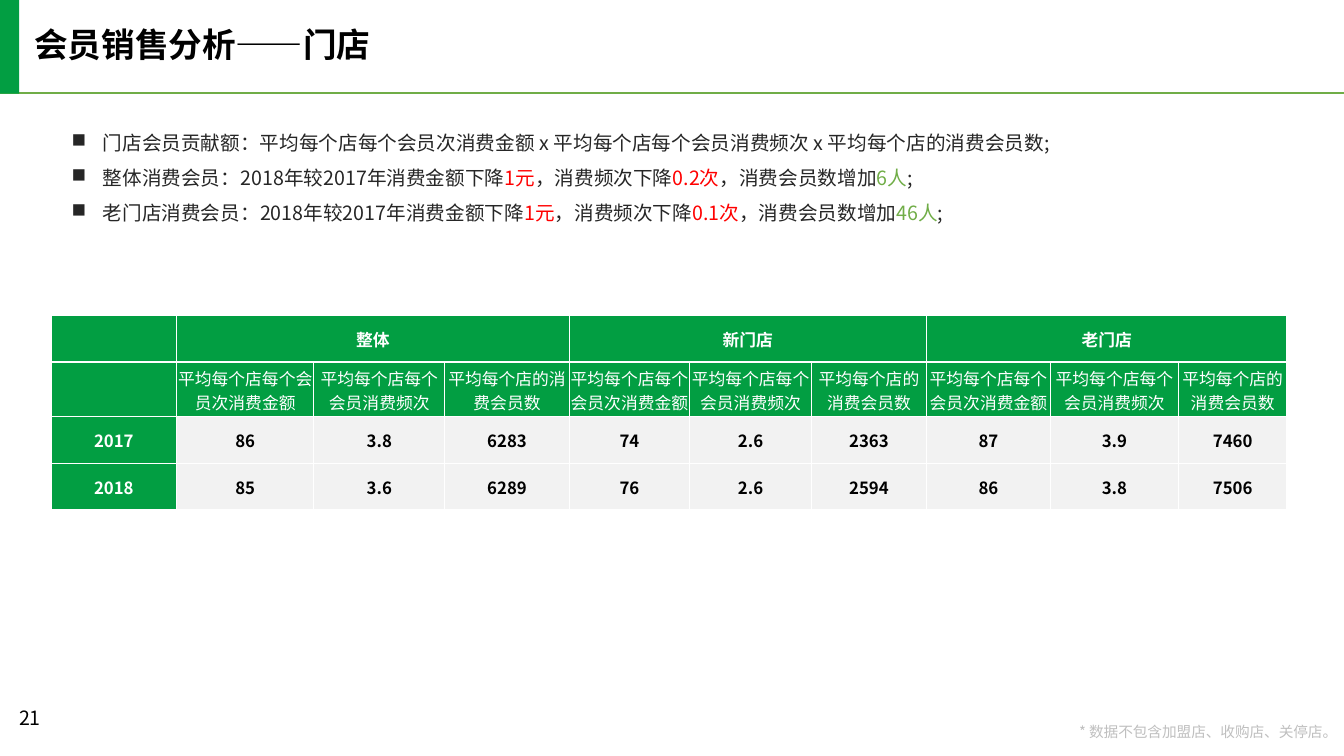
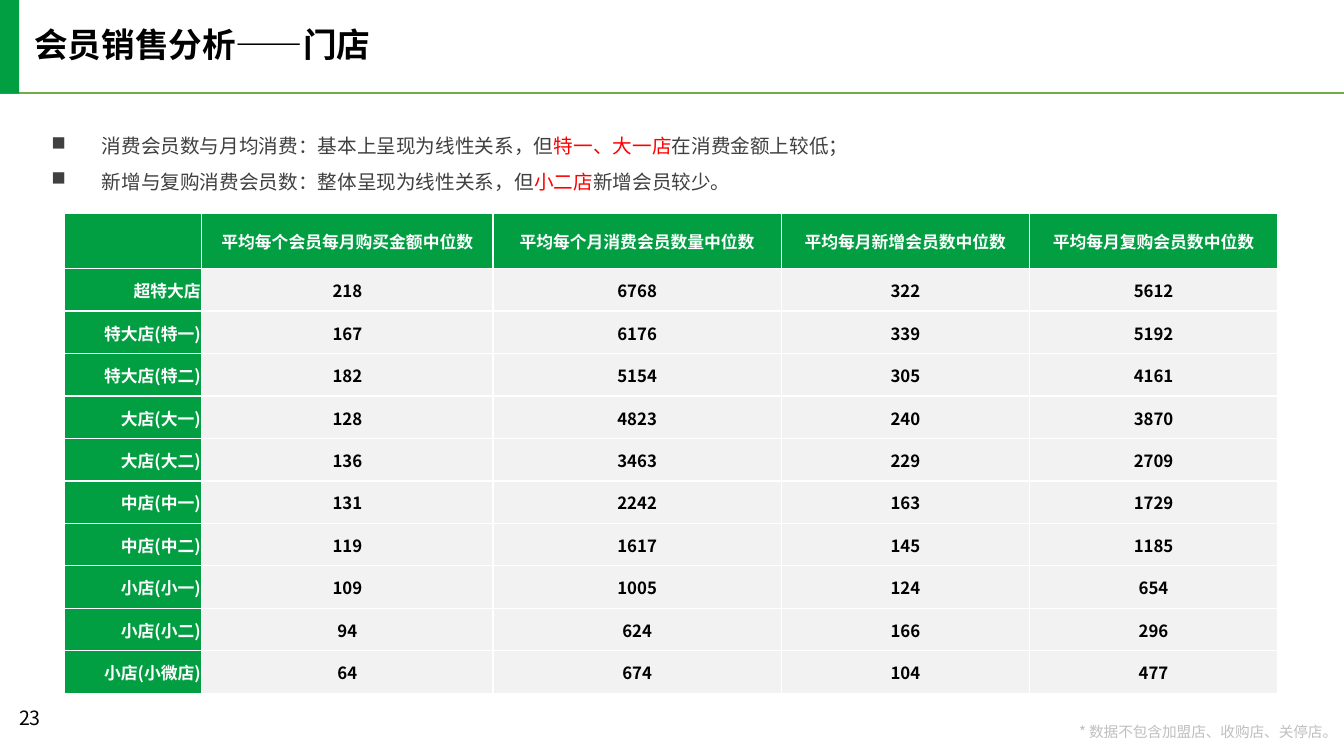
from lxml import etree
from pptx import Presentation
from pptx.dml.color import RGBColor
from pptx.enum.shapes import MSO_CONNECTOR, MSO_SHAPE
from pptx.enum.text import MSO_ANCHOR, PP_ALIGN
from pptx.oxml.ns import qn
from pptx.util import Pt

LEFT, CENTER, RIGHT = PP_ALIGN.LEFT, PP_ALIGN.CENTER, PP_ALIGN.RIGHT
TOP, MIDDLE = MSO_ANCHOR.TOP, MSO_ANCHOR.MIDDLE
STRAIGHT = MSO_CONNECTOR.STRAIGHT
RECTANGLE = MSO_SHAPE.RECTANGLE

FONT = "Noto Sans CJK SC"
BRAND_GREEN = RGBColor(0x02, 0x9E, 0x42)
LIGHT_GREEN = RGBColor(0x70, 0xAD, 0x47)
RED = RGBColor(0xFF, 0x00, 0x00)
BLACK = RGBColor(0x00, 0x00, 0x00)
WHITE = RGBColor(0xFF, 0xFF, 0xFF)
INK = RGBColor(0x26, 0x26, 0x26)
GREY_INK = RGBColor(0x40, 0x40, 0x40)
NOTE_GREY = RGBColor(0xBF, 0xBF, 0xBF)
CELL_GREY = RGBColor(0xF2, 0xF2, 0xF2)

SLIDE_WIDTH, SLIDE_HEIGHT = 960, 540
HEADER_HEIGHT = 66.24

AMOUNT, FREQUENCY, MEMBERS = (
    "平均每个店每个会员次消费金额", "平均每个店每个会员消费频次", "平均每个店的消费会员数")

PAGES = [
    {
        "number": "21",
        "bullet_box": (51.12, 84.96, 810, 96.48),
        "bullet_indent": 22.32,
        "bullet_anchor": TOP,
        "bullets": [
            [("门店会员贡献额：平均每个店每个会员次消费金额 x 平均每个店每个会员消费频次 x 平均每个店的消费会员数;", INK)],
            [("整体消费会员：2018年较2017年消费金额下降", INK), ("1元", RED),
             ("，消费频次下降", INK), ("0.2次", RED),
             ("，消费会员数增加", INK), ("6人", LIGHT_GREEN), (";", INK)],
            [("老门店消费会员：2018年较2017年消费金额下降", INK), ("1元", RED),
             ("，消费频次下降", INK), ("0.1次", RED),
             ("，消费会员数增加", INK), ("46人", LIGHT_GREEN), (";", INK)],
        ],
        "table_origin": (36.36, 225.5),
        "widths": [89.9, 97.9, 93.6, 88.9, 86, 87.1, 82.1, 88.6, 91.4, 77.6],
        "heights": [33.1, 39.2, 33.1, 33.1],
        "header_rows": 2,
        "merge_starts": [1, 4, 7],
        "label_align": CENTER,
        "rows": [
            ["", "整体", "", "", "新门店", "", "", "老门店", "", ""],
            [""] + [AMOUNT, FREQUENCY, MEMBERS] * 3,
            ["2017", "86", "3.8", "6283", "74", "2.6", "2363", "87", "3.9", "7460"],
            ["2018", "85", "3.6", "6289", "76", "2.6", "2594", "86", "3.8", "7506"],
        ],
    },
    {
        "number": "23",
        "bullet_box": (36.72, 87.12, 615.6, 51.12),
        "bullet_indent": 36,
        "bullet_anchor": MIDDLE,
        "bullets": [
            [("消费会员数与月均消费：基本上呈现为线性关系，但", GREY_INK),
             ("特一、大一店", RED), ("在消费金额上较低；", GREY_INK)],
            [("新增与复购消费会员数：整体呈现为线性关系，但", GREY_INK),
             ("小二店", RED), ("新增会员较少。", GREY_INK)],
        ],
        "table_origin": (46.2, 152.6),
        "widths": [97.9, 208.1, 205.9, 177.3, 177.3],
        "heights": [39.3] + [30.34] * 10,
        "header_rows": 1,
        "merge_starts": [],
        "label_align": RIGHT,
        "rows": [
            ["", "平均每个会员每月购买金额中位数", "平均每个月消费会员数量中位数",
             "平均每月新增会员数中位数", "平均每月复购会员数中位数"],
            ["超特大店", "218", "6768", "322", "5612"],
            ["特大店(特一)", "167", "6176", "339", "5192"],
            ["特大店(特二)", "182", "5154", "305", "4161"],
            ["大店(大一)", "128", "4823", "240", "3870"],
            ["大店(大二)", "136", "3463", "229", "2709"],
            ["中店(中一)", "131", "2242", "163", "1729"],
            ["中店(中二)", "119", "1617", "145", "1185"],
            ["小店(小一)", "109", "1005", "124", "654"],
            ["小店(小二)", "94", "624", "166", "296"],
            ["小店(小微店)", "64", "674", "104", "477"],
        ],
    },
]


def style_run(run, size, color, bold=False):
    run.font.size = Pt(size)
    run.font.bold = bold
    run.font.color.rgb = color
    run.font.name = FONT
    latin = run.font._element.find(qn("a:latin"))
    east_asian = etree.Element(qn("a:ea"), typeface=FONT)
    latin.addnext(east_asian)


def add_text(slide, box, paragraphs, size, bold=False, align=LEFT, spacing=1.0,
             anchor=TOP, margins=(0, 0), wrap=True, indent=0):
    frame = slide.shapes.add_textbox(*map(Pt, box)).text_frame
    frame.word_wrap = wrap
    frame.vertical_anchor = anchor
    frame.margin_left = frame.margin_right = Pt(margins[0])
    frame.margin_top = frame.margin_bottom = Pt(margins[1])
    for index, pieces in enumerate(paragraphs):
        paragraph = frame.add_paragraph() if index else frame.paragraphs[0]
        paragraph.alignment = align
        paragraph.line_spacing = spacing
        if indent:
            properties = paragraph._p.get_or_add_pPr()
            properties.set("marL", str(Pt(indent)))
            properties.set("indent", str(-Pt(indent)))
            etree.SubElement(properties, qn("a:buChar"), char="■")
        for text, color in pieces:
            run = paragraph.add_run()
            run.text = text
            style_run(run, size, color, bold)


prs = Presentation()
prs.slide_width, prs.slide_height = Pt(SLIDE_WIDTH), Pt(SLIDE_HEIGHT)
blank_layout = prs.slide_layouts[6]

for page in PAGES:
    slide = prs.slides.add_slide(blank_layout)

    header_rule = slide.shapes.add_connector(
        STRAIGHT, Pt(0), Pt(HEADER_HEIGHT), Pt(SLIDE_WIDTH), Pt(HEADER_HEIGHT))
    header_rule.line.color.rgb = LIGHT_GREEN
    header_rule.line.width = Pt(1.5)
    etree.SubElement(header_rule._element.spPr, qn("a:effectLst"))

    add_text(slide, (24.48, 20.16, 452.88, 25.92), [[("会员销售分析——门店", BLACK)]],
             24, bold=True, spacing=0.9)

    header_band = slide.shapes.add_shape(RECTANGLE, Pt(0), Pt(0), Pt(13.68), Pt(67))
    header_band.shadow.inherit = False
    header_band.fill.solid()
    header_band.fill.fore_color.rgb = BRAND_GREEN
    header_band.line.fill.background()

    add_text(slide, (767.52, 517.68, 187.92, 11.52),
             [[("* 数据不包含加盟店、收购店、关停店。", NOTE_GREY)]],
             10.5, align=RIGHT, spacing=0.9, wrap=False)
    add_text(slide, (6.48, 500.4, 65.52, 28.8), [[(page["number"], BLACK)]],
             14, margins=(7.2, 3.6))
    add_text(slide, page["bullet_box"], page["bullets"], 14, spacing=1.5,
             anchor=page["bullet_anchor"], indent=page["bullet_indent"])

    rows, widths, heights = page["rows"], page["widths"], page["heights"]
    left, top = page["table_origin"]
    member_table = slide.shapes.add_table(
        len(rows), len(widths), Pt(left), Pt(top), Pt(sum(widths)), Pt(sum(heights))).table
    member_table.first_row = member_table.horz_banding = False
    for column, width in zip(member_table.columns, widths):
        column.width = Pt(width)
    for row, height in zip(member_table.rows, heights):
        row.height = Pt(height)

    for r, values in enumerate(rows):
        for c, value in enumerate(values):
            cell = member_table.cell(r, c)
            is_header = r < page["header_rows"]
            is_green = is_header or c == 0
            cell.margin_left = cell.margin_right = cell.margin_top = Pt(0.72)
            cell.margin_bottom = Pt(0)
            cell.vertical_anchor = MIDDLE
            for side in ("a:lnL", "a:lnR", "a:lnT", "a:lnB"):
                border = etree.SubElement(cell._tc.get_or_add_tcPr(), qn(side), w=str(Pt(1)))
                border_fill = etree.SubElement(border, qn("a:solidFill"))
                etree.SubElement(border_fill, qn("a:srgbClr"), val=str(WHITE))
            cell.fill.solid()
            cell.fill.fore_color.rgb = BRAND_GREEN if is_green else CELL_GREY
            if value:
                paragraph = cell.text_frame.paragraphs[0]
                paragraph.text = value
                paragraph.alignment = page["label_align"] if c == 0 else CENTER
                style_run(paragraph.runs[0], 12, WHITE if is_green else BLACK,
                          bold=not (is_header and r == 1))

    for start in page["merge_starts"]:
        member_table.cell(0, start).merge(member_table.cell(0, start + 2))

prs.save("out.pptx")
